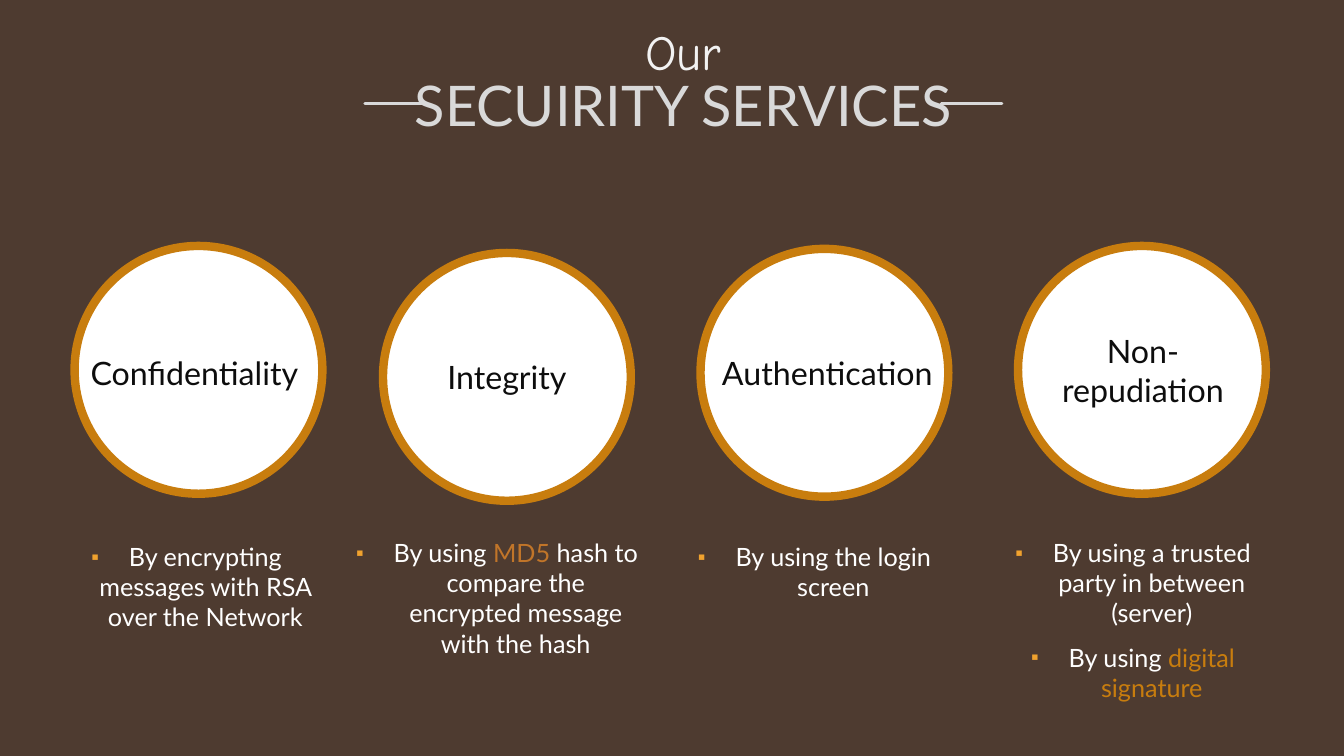
from dataclasses import dataclass

from lxml import etree
from pptx import Presentation
from pptx.dml.color import RGBColor
from pptx.enum.shapes import MSO_CONNECTOR, MSO_SHAPE
from pptx.enum.text import MSO_ANCHOR, MSO_AUTO_SIZE, PP_ALIGN
from pptx.oxml.ns import qn
from pptx.util import Pt

OVAL = MSO_SHAPE.OVAL
STRAIGHT = MSO_CONNECTOR.STRAIGHT
TOP, MIDDLE = MSO_ANCHOR.TOP, MSO_ANCHOR.MIDDLE
FIXED, GROW = MSO_AUTO_SIZE.NONE, MSO_AUTO_SIZE.SHAPE_TO_FIT_TEXT
LEFT, CENTER = PP_ALIGN.LEFT, PP_ALIGN.CENTER


@dataclass(frozen=True)
class Theme:
    back: str = "4E3B30"
    ring: str = "C87D0E"
    disc: str = "FFFFFF"
    head: str = "D9D9D9"
    over: str = "F2F2F2"
    dark: str = "0D0D0D"
    note: str = "FFFFFF"
    hash: str = "C17529"
    mark: str = "F0A22E"
    font: str = "Lato"
    hand: str = "Comic Neue"
    head_size: float = 40
    over_size: float = 35.1
    name_size: float = 23
    note_size: float = 18


THEME = Theme()
DISC = 177
NAME_WIDTH = 172.8
INDENT = 27

SERVICES = [
    {
        "disc": (53.3, 175.7), "name": (57.6, 249.1, 35.3), "align": LEFT,
        "lines": ["Confidentiality"], "note": (36, 383, 194.4, 92.9),
        "points": [[("By encrypting messages with RSA over the Network", THEME.note)]],
    },
    {
        "disc": (273.6, 180.7), "name": (275.8, 252, 35.3), "align": CENTER,
        "lines": ["Integrity"], "note": (244.8, 380.2, 220.3, 107.3),
        "points": [[
            ("By using ", THEME.note), ("MD5", THEME.hash),
            (" hash to compare the encrypted message with the hash", THEME.note),
        ]],
    },
    {
        "disc": (500.4, 177.8), "name": (504.7, 249.1, 35.3), "align": CENTER,
        "lines": ["Authentication"], "note": (471.6, 383, 220.3, 107.3),
        "points": [[("By using the login screen", THEME.note)]],
    },
    {
        "disc": (727.2, 175.7), "name": (730.1, 233.3, 63.4), "align": CENTER,
        "lines": ["Non-", "repudiation"], "note": (699.1, 380.2, 220.3, 107.3),
        "points": [
            [("By using a trusted party in between (server)", THEME.note)],
            [("By using ", THEME.note), ("digital signature", THEME.ring)],
        ],
    },
]


def rgb(code):
    return RGBColor.from_string(code)


def points(*nums):
    return [Pt(num) for num in nums]


def apply(item, form):
    for key, value in form.items():
        setattr(item, key, value)


def write(frame, paras, size, font=THEME.font, align=CENTER, **form):
    apply(frame, {"word_wrap": True, "auto_size": FIXED,
                  "vertical_anchor": TOP, **form})
    for index, runs in enumerate(paras):
        para = frame.add_paragraph() if index else frame.paragraphs[0]
        para.alignment = align
        for text, color in runs:
            run = para.add_run()
            run.text = text
            apply(run.font, {"name": font, "size": Pt(size)})
            run.font.color.rgb = rgb(color)


def add_text(slide, box, paras, size, **form):
    shape = slide.shapes.add_textbox(*points(*box))
    write(shape.text_frame, paras, size, **form)
    return shape.text_frame


def set_title(slide, box, text):
    title = slide.shapes.title
    apply(title, dict(zip(("left", "top", "width", "height"), points(*box))))
    write(title.text_frame, [[(text, THEME.head)]], THEME.head_size,
          vertical_anchor=MIDDLE)


def add_dash(slide, left, right, top):
    dash = slide.shapes.add_connector(STRAIGHT, *points(right, top, left, top))
    dash.line.color.rgb = rgb(THEME.head)
    dash.line.width = Pt(2.25)
    dash.line._get_or_add_ln().set("cap", "rnd")
    etree.SubElement(dash._element.spPr, qn("a:effectLst"))


def add_disc(slide, left, top):
    disc = slide.shapes.add_shape(OVAL, *points(left, top, DISC, DISC))
    disc.shadow.inherit = False
    disc.fill.solid()
    disc.fill.fore_color.rgb = rgb(THEME.disc)
    disc.line.color.rgb = rgb(THEME.ring)
    disc.line.width = Pt(6)


def add_mark(para):
    para.space_before = Pt(10)
    props = para._p.get_or_add_pPr()
    props.set("marL", str(Pt(INDENT)))
    props.set("indent", str(-Pt(INDENT)))
    color = etree.SubElement(props, qn("a:buClr"))
    etree.SubElement(color, qn("a:srgbClr"), val=THEME.mark)
    etree.SubElement(props, qn("a:buSzPct"), val="80000")
    etree.SubElement(props, qn("a:buFont"), typeface=THEME.font)
    etree.SubElement(props, qn("a:buChar"), char="▪")


def add_service(slide, item):
    add_disc(slide, *item["disc"])
    left, top, height = item["name"]
    names = [[(line, THEME.dark)] for line in item["lines"]]
    add_text(slide, (left, top, NAME_WIDTH, height), names, THEME.name_size,
             align=item["align"], auto_size=GROW)
    frame = add_text(slide, item["note"], item["points"], THEME.note_size)
    for para in frame.paragraphs:
        add_mark(para)


def main():
    deck = Presentation()
    apply(deck, {"slide_width": Pt(960), "slide_height": Pt(540)})
    slide = deck.slides.add_slide(deck.slide_layouts[5])
    slide.background.fill.solid()
    slide.background.fill.fore_color.rgb = rgb(THEME.back)

    set_title(slide, (260.6, 46.8, 455, 55.4), "SECUIRITY SERVICES")
    add_text(slide, (260.6, 8.6, 455, 55.4), [[("Our", THEME.over)]],
             THEME.over_size, font=THEME.hand, vertical_anchor=MIDDLE)
    for left in (260.6, 672.4):
        add_dash(slide, left, left + 43.2, 74.2)
    for item in SERVICES:
        add_service(slide, item)
    deck.save("out.pptx")


if __name__ == "__main__":
    main()
